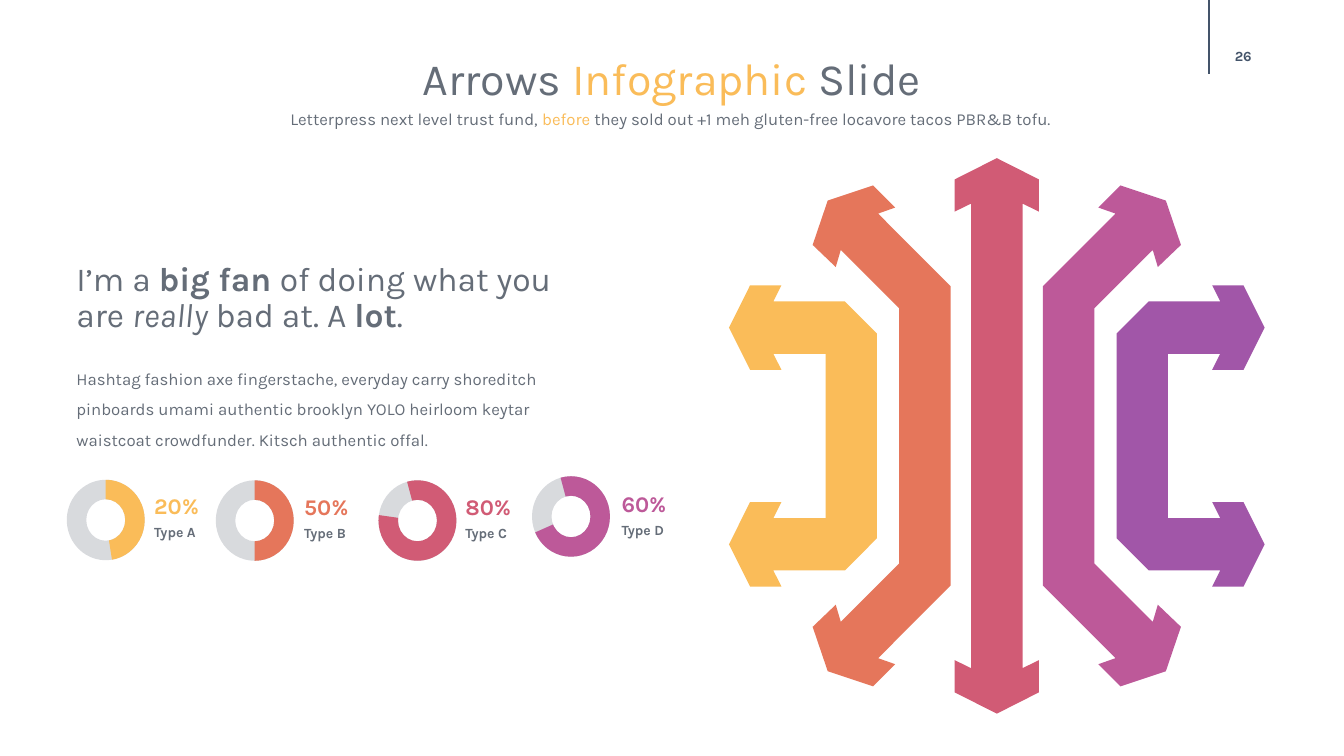
"""Build the arrows infographic slide with four ring charts."""
from pptx import Presentation
from pptx.dml.color import RGBColor
from pptx.enum.shapes import MSO_CONNECTOR as Line, MSO_SHAPE as Shape
from pptx.enum.text import MSO_ANCHOR as Anchor, PP_ALIGN as Align
from pptx.oxml.ns import qn
from pptx.util import Pt
from lxml.etree import SubElement

THEME = {
    "font": "Karla", "text": "656D78", "navy": "44546A", "track": "D8DADD",
    "gold": "FABC59", "coral": "E5765B", "rose": "D15B75",
    "pink": "BD5999", "plum": "A156A8",
    "title": 32, "quote": 24, "share": 16, "body": 12, "small": 10,
}

TITLE = [("Arrows ", {}), ("Infographic ", {"color": "gold"}), ("Slide", {})]
LEAD = [
    ("Letterpress next level trust fund, ", {}),
    ("before", {"color": "gold"}),
    (" they sold out +1 meh gluten-free locavore tacos PBR&B tofu.", {}),
]
QUOTE = [
    ("I’m a ", {}), ("big fan ", {"bold": True}),
    ("of doing what you are ", {}), ("really", {"italic": True}),
    (" bad at. A ", {}), ("lot", {"bold": True}), (".", {}),
]
BODY = [(
    "Hashtag fashion axe fingerstache, everyday carry shoreditch pinboards "
    "umami authentic brooklyn YOLO heirloom keytar waistcoat crowdfunder. "
    "Kitsch authentic offal.", {},
)]
PAGE = [("26", {})]

# ring: share, name, color, (left, top), (label left, label top), (from, to)
RINGS = [
    ("20%", "Type A", "gold", (47.7, 342.7), (110.2, 353.5), (270, 81)),
    ("50%", "Type B", "coral", (154.2, 343.1), (217.4, 354.2), (270, 90)),
    ("80%", "Type C", "rose", (270.5, 343.1), (332.6, 354.2), (255, 188)),
    ("60%", "Type D", "pink", (380.2, 340.2), (444.2, 352.1), (255, 156)),
]
RING = (55.7, 57.5)
BAND = 0.25

HUB = (712.4, 311.4)
OUTER = [
    (85.6, -73.1), (108.6, -96.1), (159.7, -96.1), (153.9, -107.6),
    (176.3, -107.6), (191.4, -77.4), (176.3, -47.2), (153.9, -47.2),
    (159.7, -58.7), (122.3, -58.7),
]
INNER = [
    (33, -106.9), (84.8, -158.8), (72.6, -163.1), (88.4, -178.9),
    (120.8, -168.1), (131.6, -136.4), (115.1, -120.6), (111.5, -132.8),
    (69.7, -91.1),
]
MID = [
    (-18.4, -165.9), (-30.1, -160.2), (-30.1, -183.2), (0, -198.4),
    (30.1, -183.2), (30.1, -160.2), (18.4, -165.9),
]
ARROWS = [
    (OUTER, 1, "plum"), (MID, 1, "rose"), (INNER, 1, "pink"),
    (OUTER, -1, "gold"), (INNER, -1, "coral"),
]


def tint(name):
    return RGBColor.from_string(THEME[name])


def paint(shape, color):
    shape.shadow.inherit = False
    shape.fill.solid()
    shape.fill.fore_color.rgb = tint(color)
    shape.line.fill.background()


def write(slide, area, runs, size, color="text", bold=False, align=Align.LEFT,
          pad=(7.2, 3.6), space=None, wrap=True, anchor=Anchor.TOP):
    frame = slide.shapes.add_textbox(*map(Pt, area)).text_frame
    frame.word_wrap = wrap
    frame.vertical_anchor = anchor
    frame.margin_left = frame.margin_right = Pt(pad[0])
    frame.margin_top = frame.margin_bottom = Pt(pad[1])
    para = frame.paragraphs[0]
    para.alignment = align
    if space:
        para.line_spacing = space
    para.font.name = THEME["font"]
    para.font.size = Pt(THEME[size])
    para.font.bold = bold
    para.font.color.rgb = tint(color)
    for text, style in runs:
        run = para.add_run()
        run.text = text
        font = run.font
        font.name = THEME["font"]
        font.size = Pt(THEME[size])
        font.bold = style.get("bold", bold)
        font.italic = style.get("italic")
        font.color.rgb = tint(style.get("color", color))


def draw_arrow(slide, half, side, color):
    whole = half + [(x, -y) for x, y in reversed(half)]
    spots = [(Pt(HUB[0] + side * x), Pt(HUB[1] + y)) for x, y in whole]
    pen = slide.shapes.build_freeform(*spots[0])
    pen.add_line_segments(spots[1:], close=True)
    paint(pen.convert_to_shape(), color)


def draw_ring(slide, share, name, color, spot, label, sweep):
    area = [Pt(n) for n in spot + RING]
    track = slide.shapes.add_shape(Shape.DONUT, *area)
    track.adjustments[0] = BAND
    paint(track, "track")
    arc = slide.shapes.add_shape(Shape.BLOCK_ARC, *area)
    for i, angle in enumerate(sweep):
        arc.adjustments[i] = angle * 0.6
    arc.adjustments[2] = BAND
    paint(arc, color)
    left, top = label
    rows = [(share, "share", color, 0, 20.9), (name, "small", "text", 21.6, 16.6)]
    for text, size, shade, drop, high in rows:
        write(slide, (left, top + drop, 35.3, high), [(text, {})], size, shade,
              bold=True, pad=(0, 0), space=0.9, wrap=False)


def draw_rule(slide):
    rule = slide.shapes.add_connector(Line.STRAIGHT, Pt(864), 0, Pt(864), Pt(52.6))
    rule.line.color.rgb = tint("navy")
    rule.line.width = Pt(1)
    SubElement(rule.element.spPr, qn("a:effectLst"))


def main():
    deck = Presentation()
    deck.slide_width, deck.slide_height = Pt(960.5), Pt(540)
    slide = deck.slides.add_slide(deck.slide_layouts[6])
    draw_rule(slide)
    write(slide, (859.7, 25.9, 57.6, 28.8), PAGE, "small", "navy", bold=True,
          align=Align.CENTER, pad=(0, 0), anchor=Anchor.MIDDLE)
    write(slide, (182.9, 32.4, 594.7, 46.1), TITLE, "title", align=Align.CENTER)
    write(slide, (187, 74.2, 584.6, 21.6), LEAD, "body", align=Align.CENTER,
          wrap=False)
    for arrow in ARROWS:
        draw_arrow(slide, *arrow)
    write(slide, (47.5, 183.6, 392.4, 59), QUOTE, "quote", space=0.9)
    write(slide, (47.5, 252.7, 383, 72), BODY, "body", space=1.5)
    for ring in RINGS:
        draw_ring(slide, *ring)
    deck.save("out.pptx")


if __name__ == "__main__":
    main()
